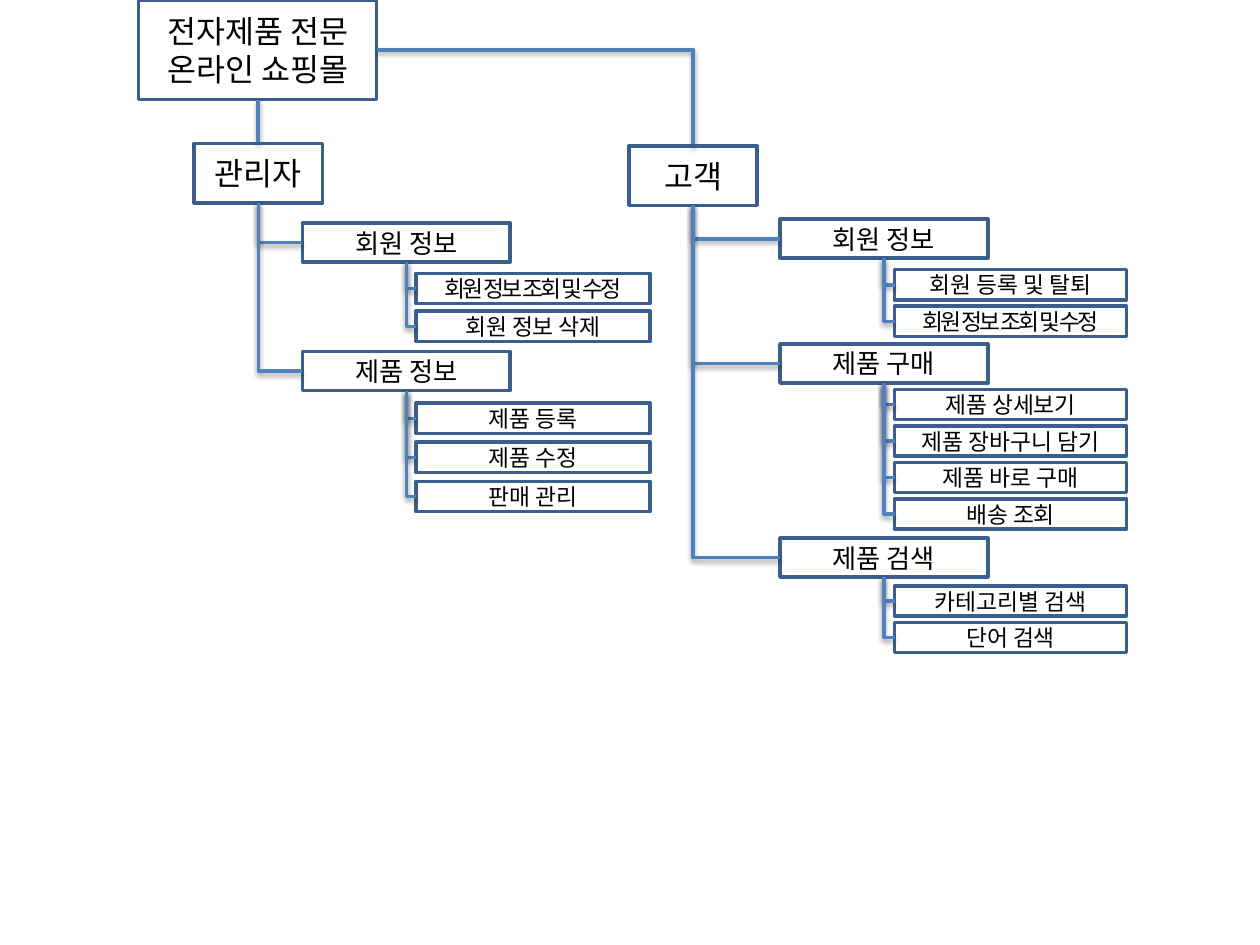
"""Builds the site structure tree of an online electronics shop."""
from lxml import etree
from pptx import Presentation
from pptx.dml.color import RGBColor
from pptx.enum.shapes import MSO_CONNECTOR, MSO_SHAPE
from pptx.enum.text import MSO_ANCHOR, PP_ALIGN
from pptx.oxml import parse_xml
from pptx.oxml.ns import nsdecls, qn
from pptx.util import Inches, Pt

BORDER = RGBColor(0x3A, 0x5F, 0x8C)
LINK = RGBColor(0x4F, 0x81, 0xBD)
BLACK = RGBColor(0, 0, 0)
FONT = "Noto Sans CJK KR"
SHADOW = (
    f'<a:effectLst {nsdecls("a")}>'
    '<a:outerShdw blurRad="40000" dist="20000" dir="5400000" rotWithShape="0">'
    '<a:srgbClr val="000000"><a:alpha val="38000"/></a:srgbClr>'
    '</a:outerShdw></a:effectLst>'
)
ROOT = (1.1, 0, 1.89, 0.79)
ROLE_SIZE = (1.02, 0.47)
TOPIC_SIZE = (1.65, 0.31)
LEAF_HEIGHT = 0.24
TIGHT_TEXT = "회원 정보 조회 및 수정"

ROLES = [
    ("관리자", 1.54, 1.14, 2.4, 3.3, 1.86, [
        ("회원 정보", 1.77, 2.17, 0.3, [TIGHT_TEXT, "회원 정보 삭제"]),
        ("제품 정보", 2.79, 3.2, 0.31, ["제품 등록", "제품 수정", "판매 관리"]),
    ]),
    ("고객", 4.99, 1.16, 6.19, 7.1, 1.84, [
        ("회원 정보", 1.74, 2.14, 0.29, ["회원 등록 및 탈퇴", TIGHT_TEXT]),
        ("제품 구매", 2.73, 3.09, 0.29,
         ["제품 상세보기", "제품 장바구니 담기", "제품 바로 구매", "배송 조회"]),
        ("제품 검색", 4.27, 4.65, 0.29, ["카테고리별 검색", "단어 검색"]),
    ]),
]


class TreePage:
    """Holds the style of the tree and the shapes of the current slide."""

    def __init__(self, page):
        """Starts one group for the whole tree."""
        self.shapes = page.shapes.add_group_shape().shapes

    def box(self, text, left, top, width, height, size):
        """Draws an outlined box with centred text."""
        box = self.shapes.add_shape(
            MSO_SHAPE.RECTANGLE, *map(Inches, (left, top, width, height)))
        box.shadow.inherit = False
        box.fill.background()
        box.line.color.rgb = BORDER
        box.line.width = Pt(2)
        frame = box.text_frame
        frame.word_wrap = True
        frame.vertical_anchor = MSO_ANCHOR.MIDDLE
        frame.margin_top = frame.margin_bottom = 0
        para = frame.paragraphs[0]
        para.text = text
        para.alignment = PP_ALIGN.CENTER
        para.font.name = FONT
        para.font.size = Pt(size)
        para.font.color.rgb = BLACK
        style = para._p.pPr.find(qn("a:defRPr"))
        etree.SubElement(style, qn("a:ea")).set("typeface", FONT)
        if text == TIGHT_TEXT:
            para.runs[0].font._element.set("spc", "-150")

    def link(self, kind, *ends):
        """Draws a shadowed connector between two points."""
        link = self.shapes.add_connector(kind, *map(Inches, ends))
        link.line.color.rgb = LINK
        link.line.width = Pt(2)
        link._element.spPr.append(parse_xml(SHADOW))
        return link

    def elbow(self, left, top, right, bottom, turned=False):
        """Draws a one-corner connector, turned to run down and then right."""
        link = self.link(MSO_CONNECTOR.ELBOW, left, top, right, bottom)
        link._element.spPr.find(qn("a:prstGeom")).set("prst", "bentConnector2")
        if turned:
            link.rotation = 180 if hasattr(link, "rotation") else 0
            link._element.spPr.find(qn("a:xfrm")).set("rot", "10800000")


def build():
    """Builds and saves the deck."""
    deck = Presentation()
    deck.slide_width, deck.slide_height = Inches(10), Inches(7.5)
    tree = TreePage(deck.slides.add_slide(deck.slide_layouts[6]))
    tree.box("전자제품 전문 온라인 쇼핑몰", *ROOT, 18)
    root_left, root_top, root_width, root_height = ROOT
    root_bottom = root_top + root_height
    tree.link(MSO_CONNECTOR.STRAIGHT, 2.05, root_bottom, 2.05, ROLES[0][2])
    tree.elbow(root_left + root_width, root_height / 2, 5.5, ROLES[1][2])

    for role, left, top, topic_left, leaf_left, leaf_width, topics in ROLES:
        tree.box(role, left, top, *ROLE_SIZE, 18)
        role_middle, role_bottom = left + ROLE_SIZE[0] / 2, top + ROLE_SIZE[1]
        for topic, topic_top, first_leaf, step, leaves in topics:
            tree.box(topic, topic_left, topic_top, *TOPIC_SIZE, 15)
            topic_middle = topic_left + TOPIC_SIZE[0] / 2
            topic_bottom = topic_top + TOPIC_SIZE[1]
            tree.elbow(role_middle, role_bottom, topic_left,
                       topic_top + TOPIC_SIZE[1] / 2, turned=True)
            for index, leaf in enumerate(leaves):
                leaf_top = first_leaf + index * step
                tree.box(leaf, leaf_left, leaf_top, leaf_width, LEAF_HEIGHT, 13)
                tree.elbow(topic_middle, topic_bottom, leaf_left,
                           leaf_top + LEAF_HEIGHT / 2, turned=True)
    deck.save("out.pptx")


build()
